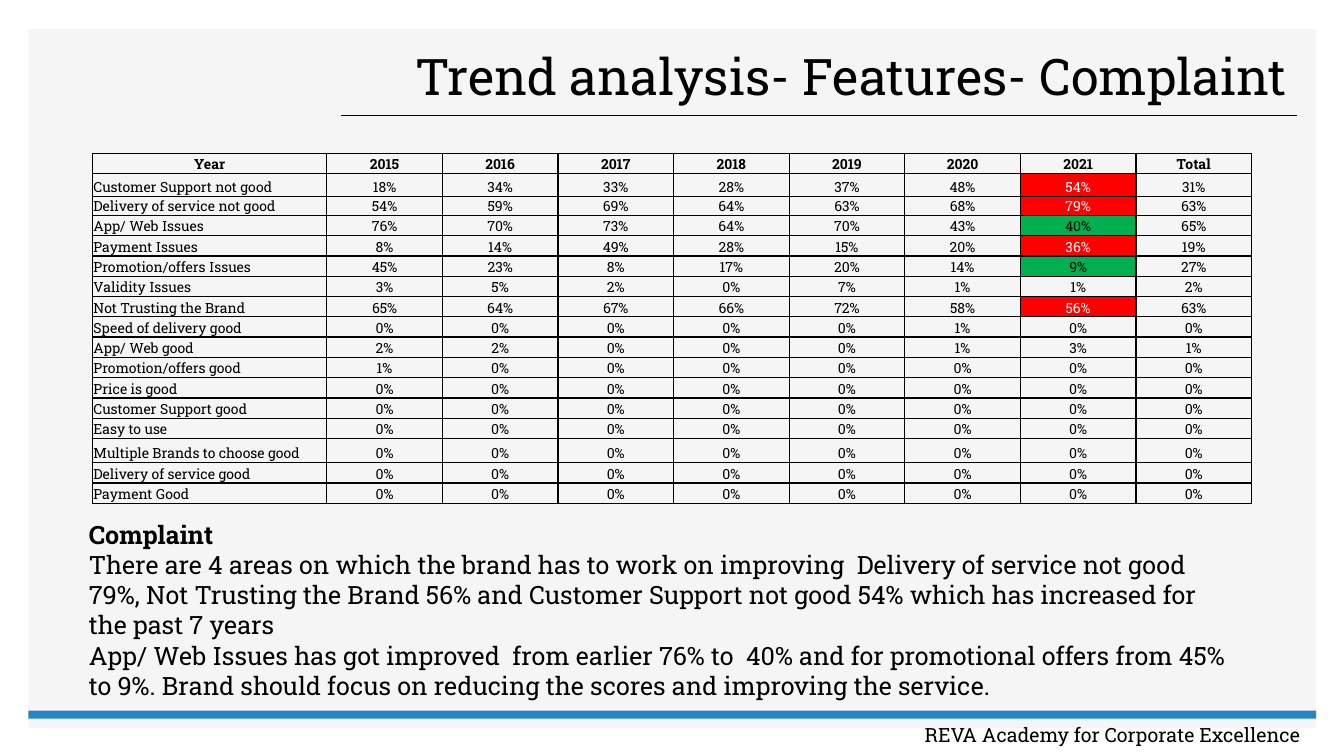
import dataclasses

import pptx
import pptx.dml.color
import pptx.enum.shapes
import pptx.enum.text
import pptx.oxml
import pptx.oxml.ns
import pptx.util

Pt = pptx.util.Pt
Color = pptx.dml.color.RGBColor
Align = pptx.enum.text.PP_ALIGN
Anchor = pptx.enum.text.MSO_ANCHOR


@dataclasses.dataclass(frozen=True)
class Theme:
    font: str = "Roboto Slab"
    ink: Color = Color(0, 0, 0)
    light: Color = Color(255, 255, 255)
    panel: Color = Color(0xF5, 0xF5, 0xF5)
    accent: Color = Color(0x26, 0x83, 0xC6)
    worse: Color = Color(0xFF, 0, 0)
    better: Color = Color(0, 0xB0, 0x50)
    title_size: int = 36
    body_size: int = 18
    footer_size: int = 14
    table_size: int = 10


theme = Theme()


def write(para, text, size, align=Align.LEFT, bold=False, color=theme.ink):
    para.text = text
    para.alignment = align
    para.font.name = theme.font
    para.font.size = Pt(size)
    para.font.bold = bold
    para.font.color.rgb = color


def add_border(cell, side):
    cell._tc.get_or_add_tcPr().append(pptx.oxml.parse_xml(
        f'<a:{side} {pptx.oxml.ns.nsdecls("a")} w="{int(Pt(1))}"><a:solidFill>'
        f'<a:srgbClr val="{theme.ink}"/></a:solidFill></a:{side}>'))


deck = pptx.Presentation()
deck.slide_width, deck.slide_height = Pt(960), Pt(540)
page = deck.slides.add_slide(deck.slide_layouts[5])

for top, height, color in ((20.9, 499, theme.panel), (507.6, 5.8, theme.accent)):
    band = page.shapes.add_shape(
        pptx.enum.shapes.MSO_SHAPE.RECTANGLE, Pt(20.2), Pt(top), Pt(920), Pt(height))
    band.shadow.inherit = False
    band.fill.solid()
    band.fill.fore_color.rgb = color
    band.line.fill.background()

rule = page.shapes.add_connector(
    pptx.enum.shapes.MSO_CONNECTOR.STRAIGHT, Pt(243.4), Pt(82.6), Pt(926.6), Pt(82.6))
rule.line.color.rgb = theme.ink
rule.line.width = Pt(1)
rule._element.spPr.append(
    pptx.oxml.parse_xml(f'<a:effectLst {pptx.oxml.ns.nsdecls("a")}/>'))

title = page.shapes.title
page.shapes._spTree.append(title._element)
title.left, title.top, title.width, title.height = Pt(266.4), Pt(30.2), Pt(660.2), Pt(52.6)
title.text_frame.auto_size = pptx.enum.text.MSO_AUTO_SIZE.NONE
title.text_frame.vertical_anchor = Anchor.MIDDLE
title_para = title.text_frame.paragraphs[0]
write(title_para, "Trend analysis- Features- Complaint", theme.title_size, Align.RIGHT)
title_para.line_spacing = 0.9

none = ("0%",) * 8
table_rows = (
    ("Year", "2015", "2016", "2017", "2018", "2019", "2020", "2021", "Total"),
    ("Customer Support not good", "18%", "34%", "33%", "28%", "37%", "48%", "54%", "31%"),
    ("Delivery of service not good", "54%", "59%", "69%", "64%", "63%", "68%", "79%", "63%"),
    ("App/ Web Issues", "76%", "70%", "73%", "64%", "70%", "43%", "40%", "65%"),
    ("Payment Issues", "8%", "14%", "49%", "28%", "15%", "20%", "36%", "19%"),
    ("Promotion/offers Issues", "45%", "23%", "8%", "17%", "20%", "14%", "9%", "27%"),
    ("Validity Issues", "3%", "5%", "2%", "0%", "7%", "1%", "1%", "2%"),
    ("Not Trusting the Brand", "65%", "64%", "67%", "66%", "72%", "58%", "56%", "63%"),
    ("Speed of delivery good", "0%", "0%", "0%", "0%", "0%", "1%", "0%", "0%"),
    ("App/ Web good", "2%", "2%", "0%", "0%", "0%", "1%", "3%", "1%"),
    ("Promotion/offers good", "1%", "0%", "0%", "0%", "0%", "0%", "0%", "0%"),
    ("Price is good", *none),
    ("Customer Support good", *none),
    ("Easy to use", *none),
    ("Multiple Brands to choose good", *none),
    ("Delivery of service good", *none),
    ("Payment Good", *none),
)
latest_year = table_rows[0].index("2021")
highlights = {1: theme.worse, 2: theme.worse, 3: theme.better,
              4: theme.worse, 5: theme.better, 7: theme.worse}
special_heights = {1: 16.3, 2: 13.2, 14: 17.3}

table = page.shapes.add_table(
    len(table_rows), len(table_rows[0]), Pt(66.2), Pt(109.4), Pt(828), Pt(249.8)).table
table.horz_banding = False
table.first_row = False
for index, column in enumerate(table.columns):
    column.width = Pt(82.6) if index else Pt(167.2)

for row_index, values in enumerate(table_rows):
    table.rows[row_index].height = Pt(special_heights.get(row_index, 14.5))
    for column_index, value in enumerate(values):
        cell = table.cell(row_index, column_index)
        cell.margin_left = cell.margin_right = cell.margin_top = Pt(0.6)
        cell.margin_bottom = Pt(0)
        cell.vertical_anchor = Anchor.BOTTOM
        for side in ("lnL", "lnR", "lnT", "lnB"):
            add_border(cell, side)
        highlight = highlights.get(row_index) if column_index == latest_year else None
        if highlight is None:
            cell.fill.background()
        else:
            cell.fill.solid()
            cell.fill.fore_color.rgb = highlight
        is_header = row_index == 0
        write(cell.text_frame.paragraphs[0], value, theme.table_size,
              Align.CENTER if is_header or column_index else Align.LEFT, is_header,
              theme.light if highlight == theme.worse else theme.ink)

summary = page.shapes.add_textbox(Pt(56.4), Pt(367.2), Pt(837.4), Pt(138.2)).text_frame
summary.word_wrap = True
summary_texts = (
    "Complaint",
    "There are 4 areas on which the brand has to work on improving  Delivery of service "
    "not good 79%, Not Trusting the Brand 56% and Customer Support not good 54% which has "
    "increased for the past 7 years",
    "App/ Web Issues has got improved  from earlier 76% to  40% and for promotional offers "
    "from 45% to 9%. Brand should focus on reducing the scores and improving the service.",
)
for index, text in enumerate(summary_texts):
    para = summary.add_paragraph() if index else summary.paragraphs[0]
    write(para, text, theme.body_size, bold=index == 0)

footer = page.shapes.add_textbox(Pt(563), Pt(512.6), Pt(376.6), Pt(24.5)).text_frame
footer.word_wrap = True
footer.margin_right = Pt(10.5)
write(footer.paragraphs[0], "REVA Academy for Corporate Excellence",
      theme.footer_size, Align.RIGHT)

deck.save("out.pptx")
